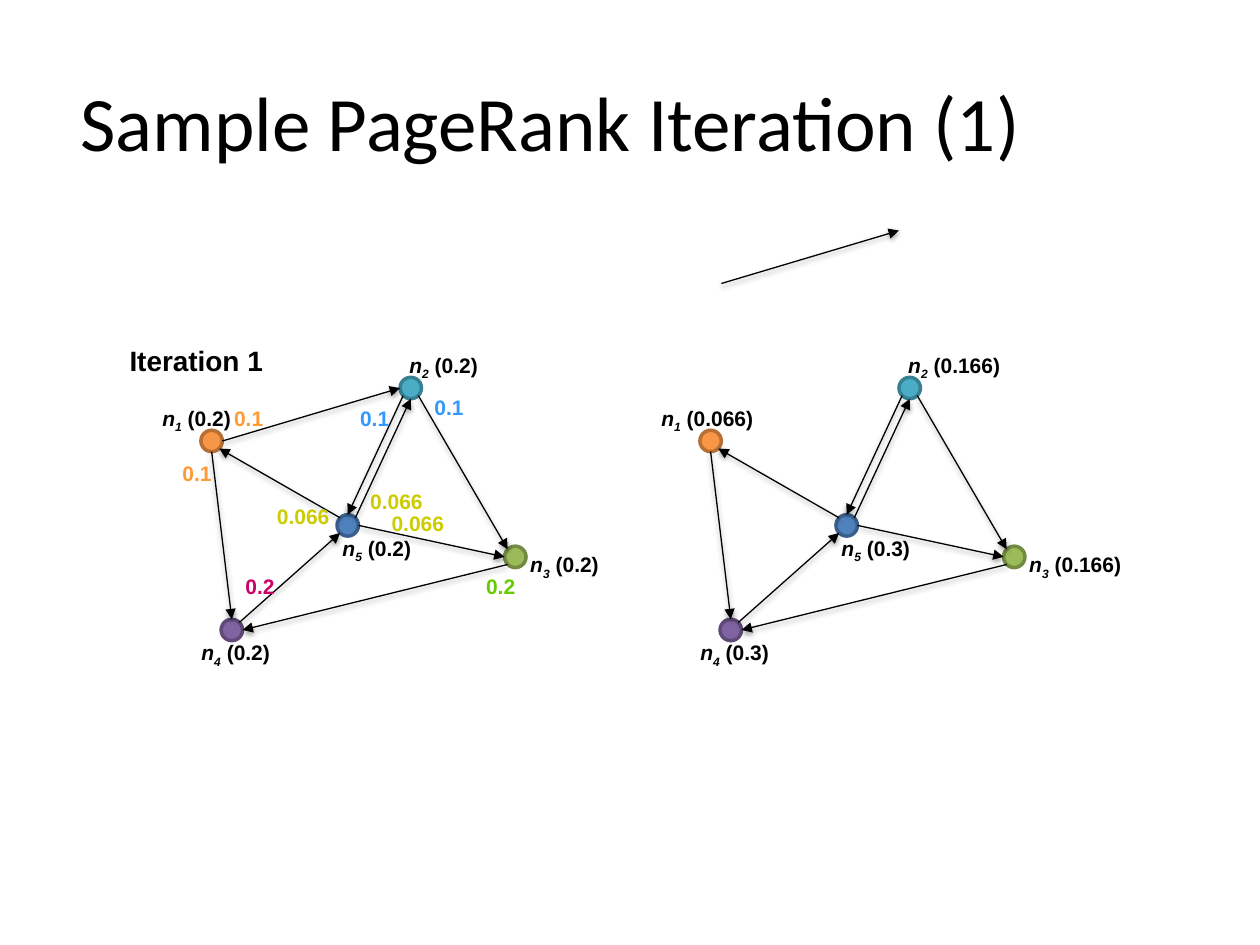
from math import cos, radians, sin

from lxml.etree import SubElement
from pptx import Presentation
from pptx.dml.color import RGBColor
from pptx.enum.shapes import MSO_CONNECTOR, MSO_SHAPE
from pptx.enum.text import MSO_ANCHOR, MSO_AUTO_SIZE
from pptx.oxml.ns import qn
from pptx.util import Inches, Pt

COLORS = {
    "black": "000000", "orange": "FF9933", "blue": "3399FF",
    "yellow": "CCCC00", "green": "66CC00", "pink": "CC0066",
}
# Node: centre in the graph box, fill, outline, label offset in the graph box
NODES = {
    "1": ((0.49, 0.75), "F79646", "B76F34", (0, 0.42)),
    "2": ((2.07, 0.33), "4BACC6", "377F92", (1.96, 0)),
    "4": ((0.65, 2.25), "8064A2", "5F4A78", (0.31, 2.28)),
    "3": ((2.9, 1.67), "9BBB59", "738A42", (2.92, 1.58)),
    "5": ((1.57, 1.42), "4F81BD", "3A5F8C", (1.43, 1.45)),
}
DIAMETER = 0.17
ANGLES = {"E": 0, "SE": 45, "S": 90, "SW": 135, "W": 180, "NW": 225, "N": 270, "NE": 315}
# Edge: node and side it leaves, node and side it enters
EDGES = [
    ("1", "E", "2", "W"), ("5", "NW", "1", "SE"), ("1", "S", "4", "N"),
    ("4", "NE", "5", "SW"), ("5", "NE", "2", "S"), ("2", "SE", "3", "NW"),
    ("5", "E", "3", "W"), ("3", "SW", "4", "E"), ("2", "SW", "5", "N"),
]
# Score passed along an edge, with its place in the graph box
PASSED_SCORES = [
    ("0.1", "orange", 0.57, 0.42), ("0.1", "orange", 0.16, 0.86),
    ("0.2", "pink", 0.66, 1.75), ("0.2", "green", 2.57, 1.75),
    ("0.1", "blue", 1.57, 0.42), ("0.1", "blue", 2.16, 0.33),
    ("0.066", "yellow", 0.91, 1.2), ("0.066", "yellow", 1.82, 1.25),
    ("0.066", "yellow", 1.65, 1.08),
]


def rgb(value):
    return RGBColor.from_string(value)


def add_text(slide, left, top, width, height, runs, color="black", frame_format=None, **font_format):
    """Place one paragraph; each run is its text, italic flag and baseline."""
    text_box = slide.shapes.add_textbox(Inches(left), Inches(top), Inches(width), Inches(height))
    frame = text_box.text_frame
    label_format = {"word_wrap": False, "auto_size": MSO_AUTO_SIZE.SHAPE_TO_FIT_TEXT}
    for name, value in (frame_format or label_format).items():
        setattr(frame, name, value)
    for text, italic, baseline in runs:
        run = frame.paragraphs[0].add_run()
        run.text = text
        style = {"name": "Arial", "size": Pt(12), "bold": True, "italic": italic, **font_format}
        for name, value in style.items():
            setattr(run.font, name, value)
        run.font.color.rgb = rgb(COLORS[color])
        if baseline:
            run.font._element.set("baseline", str(baseline))


def add_arrow(slide, start, end):
    """Draw a thin black arrow with a soft shadow below it."""
    points = [Inches(value) for value in (*start, *end)]
    arrow = slide.shapes.add_connector(MSO_CONNECTOR.STRAIGHT, *points)
    arrow.line.width = Pt(0.74)
    arrow.line.color.rgb = rgb(COLORS["black"])
    properties = arrow._element.spPr
    SubElement(properties.find(qn("a:ln")), qn("a:tailEnd"), type="triangle")
    effects = SubElement(properties, qn("a:effectLst"))
    shadow = SubElement(effects, qn("a:outerShdw"), blurRad=str(Pt(3.1)),
                        dist=str(Pt(1.6)), dir="5400000", rotWithShape="0")
    shadow_color = SubElement(shadow, qn("a:srgbClr"), val=COLORS["black"])
    SubElement(shadow_color, qn("a:alpha"), val="38000")


def add_title(slide, left, top, width, height):
    frame_format = {"word_wrap": True, "vertical_anchor": MSO_ANCHOR.MIDDLE}
    frame_format.update({f"margin_{side}": 0 for side in ("left", "top", "right", "bottom")})
    add_text(slide, left, top, width, height, [("Sample PageRank Iteration (1)", False, 0)],
             frame_format=frame_format, name="Calibri", size=Pt(44), bold=False)


def add_graph(slide, left, top, scores, first_edge_lift=0, passed_scores=()):
    """Draw the five-node graph with its box corner at left, top."""
    def side_point(node, side, lift):
        (x, y), angle = NODES[node][0], radians(ANGLES[side])
        return (left + x + DIAMETER / 2 * cos(angle),
                top + y + DIAMETER / 2 * sin(angle) - lift)

    # Nodes
    for (x, y), fill, outline, _ in NODES.values():
        node = slide.shapes.add_shape(
            MSO_SHAPE.OVAL, Inches(left + x - DIAMETER / 2), Inches(top + y - DIAMETER / 2),
            Inches(DIAMETER), Inches(DIAMETER))
        node.shadow.inherit = False
        node.fill.solid()
        node.fill.fore_color.rgb = rgb(fill)
        node.line.color.rgb = rgb(outline)
        node.line.width = Pt(2)

    # Edges
    for index, (source, source_side, target, target_side) in enumerate(EDGES):
        lift = first_edge_lift if index == 0 else 0
        add_arrow(slide, side_point(source, source_side, lift), side_point(target, target_side, lift))

    # Node labels
    for number, (_, _, _, (x, y)) in NODES.items():
        score = scores[number]
        runs = [("n", True, 0), (number, True, -25000), (f" ({score})", False, 0)]
        add_text(slide, left + x, top + y, 0.47 + 0.1 * len(score), 0.32, runs)

    # Scores on the edges
    for score, color, x, y in passed_scores:
        add_text(slide, left + x, top + y, 0.14 + 0.1 * len(score), 0.3,
                 [(score, False, 0)], color)


presentation = Presentation()
presentation.slide_width, presentation.slide_height = Inches(10), Inches(7.5)
slide = presentation.slides.add_slide(presentation.slide_layouts[6])

add_title(slide, 0.64, 0.33, 9, 1.25)
add_graph(slide, 1.19, 2.75, dict.fromkeys(NODES, "0.2"), passed_scores=PASSED_SCORES)
add_graph(slide, 5.15, 2.75,
          {"1": "0.066", "2": "0.166", "3": "0.166", "4": "0.3", "5": "0.3"},
          first_edge_lift=1.25)
add_text(slide, 0.93, 2.68, 1.26, 0.36, [("Iteration 1", False, 0)], size=Pt(16))

presentation.save("out.pptx")
